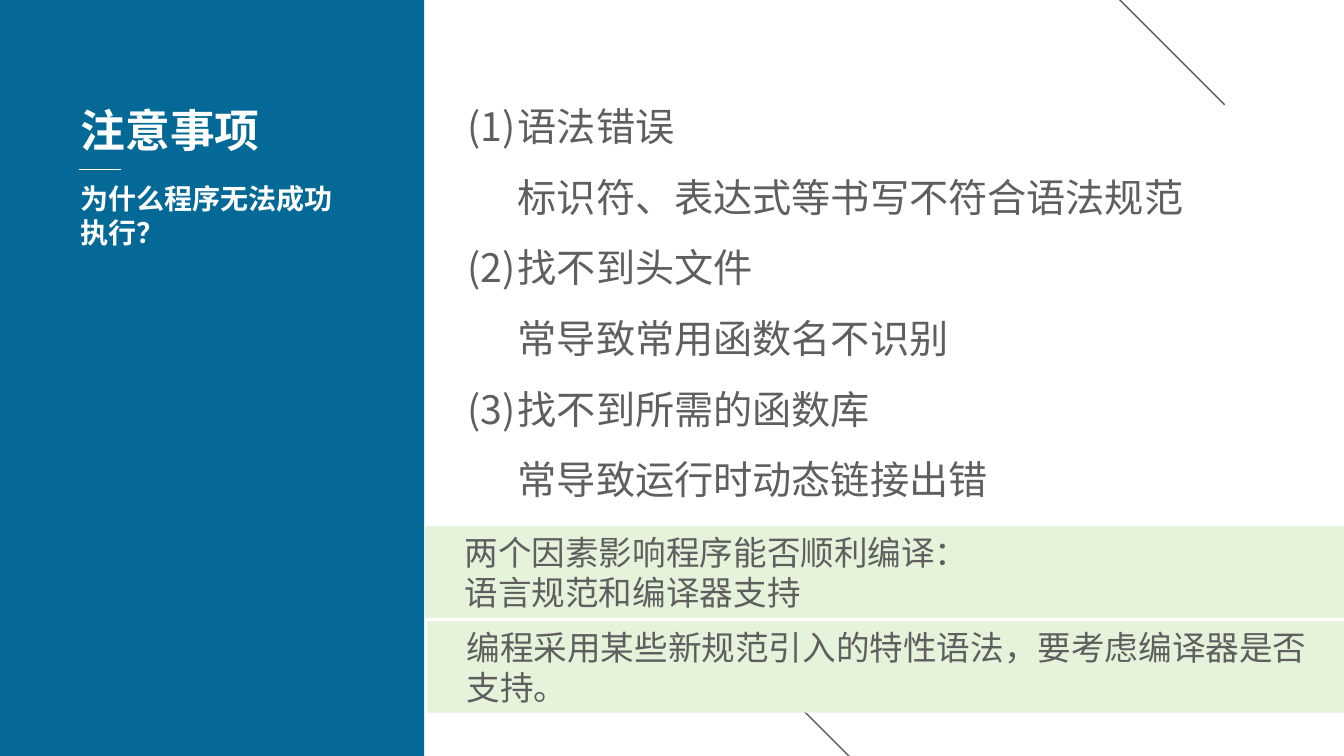
from dataclasses import dataclass
from typing import NamedTuple

from pptx import Presentation
from pptx import util as u
from pptx.dml.color import RGBColor
from pptx.enum import shapes, text
from pptx.oxml.ns import qn
from lxml import etree


@dataclass(frozen=True)
class Theme:
    blue: str = "046996"
    green: str = "E6F3DB"
    gray: str = "5F5F5F"
    white: str = "FFFFFF"
    sans: str = "Arial"
    serif: str = "Times New Roman"
    title: int = 32
    subtitle: int = 20
    body: int = 28
    note: int = 24


class Box(NamedTuple):
    x: float
    y: float
    w: float
    h: float


class Line(NamedTuple):
    x1: float
    y1: float
    x2: float
    y2: float
    color: str
    width: float


class Para(NamedTuple):
    text: str
    level: int = 0
    margin: float = 0
    numbered: bool = False
    spacing: float = 1.0


class Band(NamedTuple):
    box: Box
    lines: list[str]


T = Theme()
WIDTH, HEIGHT = 33.87, 19.05
LIST_INDENT, NOTE_INDENT = 1.27, 0.74

LINES = [
    Line(30.86, 2.64, 25.58, -2.64, T.gray, 1),
    Line(24.21, 21.87, 18.57, 16.23, T.gray, 1),
    Line(1.98, 4.27, 3.05, 4.27, T.white, 0.5),
]
ERRORS = [
    ("语法错误", "标识符、表达式等书写不符合语法规范"),
    ("找不到头文件", "常导致常用函数名不识别"),
    ("找不到所需的函数库", "常导致运行时动态链接出错"),
]
BANDS = [
    Band(Box(10.77, 15.65, 23.1, 2.31),
         ["编程采用某些新规范引入的特性语法，要考虑编译器是否支持。"]),
    Band(Box(10.72, 13.26, 23.15, 2.31),
         ["两个因素影响程序能否顺利编译：", "语言规范和编译器支持"]),
]


def cm(*values: float) -> list[u.Length]:
    return [u.Cm(v) for v in values]


def add_block(slide, box: Box, fill: str,
              kind=shapes.MSO_SHAPE.RECTANGLE):
    sp = slide.shapes.add_shape(kind, *cm(*box))
    sp.shadow.inherit = False
    sp.fill.solid()
    sp.fill.fore_color.rgb = RGBColor.from_string(fill)
    sp.line.fill.background()
    return sp


def add_line(slide, line: Line) -> None:
    sp = slide.shapes.add_connector(
        shapes.MSO_CONNECTOR.STRAIGHT, *cm(line.x1, line.y1, line.x2, line.y2))
    sp.line.color.rgb = RGBColor.from_string(line.color)
    sp.line.width = u.Pt(line.width)
    etree.SubElement(sp._element.spPr, qn("a:effectLst"))


def write(tf, paras: list[Para], *, size: int, font: str = T.sans,
          color: str = T.gray, bold: bool = False,
          anchor=text.MSO_ANCHOR.TOP) -> None:
    tf.word_wrap = True
    tf.vertical_anchor = anchor
    for i, para in enumerate(paras):
        p = tf.paragraphs[0] if i == 0 else tf.add_paragraph()
        p.level = para.level
        p.alignment = text.PP_ALIGN.LEFT
        p.line_spacing = para.spacing
        pPr = p._p.get_or_add_pPr()
        margin = u.Cm(para.margin)
        pPr.set("marL", str(margin))
        pPr.set("indent", str(-margin if para.numbered else 0))
        if para.numbered:
            etree.SubElement(pPr, qn("a:buFont"), typeface="+mj-lt")
            etree.SubElement(pPr, qn("a:buAutoNum"), type="arabicParenBoth")
        r = p.add_run()
        r.text = para.text
        r.font.size = u.Pt(size)
        r.font.bold = bold
        r.font.name = font
        r.font.color.rgb = RGBColor.from_string(color)


def add_text(slide, box: Box, paras: list[Para], **style) -> None:
    sp = slide.shapes.add_textbox(*cm(*box))
    write(sp.text_frame, paras, **style)


def error_paras() -> list[Para]:
    paras = []
    for i, (name, effect) in enumerate(ERRORS):
        paras.append(Para(name, 0, LIST_INDENT, True, 1.5 if i else 1.0))
        paras.append(Para(effect, 1, LIST_INDENT, False, 1.5))
    return paras


def main() -> None:
    prs = Presentation()
    prs.slide_width, prs.slide_height = cm(WIDTH, HEIGHT)
    slide = prs.slides.add_slide(prs.slide_layouts[6])

    panel = add_block(slide, Box(0, 0, 10.69, HEIGHT), T.blue,
                      shapes.MSO_SHAPE.ROUNDED_RECTANGLE)
    panel.adjustments[0] = 0
    for line in LINES:
        add_line(slide, line)

    add_text(slide, Box(1.78, 2.46, 5.97, 1.63), [Para("注意事项")],
             size=T.title, color=T.white, bold=True)
    add_text(slide, Box(1.78, 4.45, 7.14, 1.96),
             [Para("为什么程序无法成功执行？")],
             size=T.subtitle, color=T.white, bold=True)
    add_text(slide, Box(11.53, 2.46, 19.74, 10.59), error_paras(), size=T.body)

    for band in BANDS:
        sp = add_block(slide, band.box, T.green)
        write(sp.text_frame, [Para(s, margin=NOTE_INDENT) for s in band.lines],
              size=T.note, font=T.serif, anchor=text.MSO_ANCHOR.MIDDLE)

    prs.save("out.pptx")


if __name__ == "__main__":
    main()
